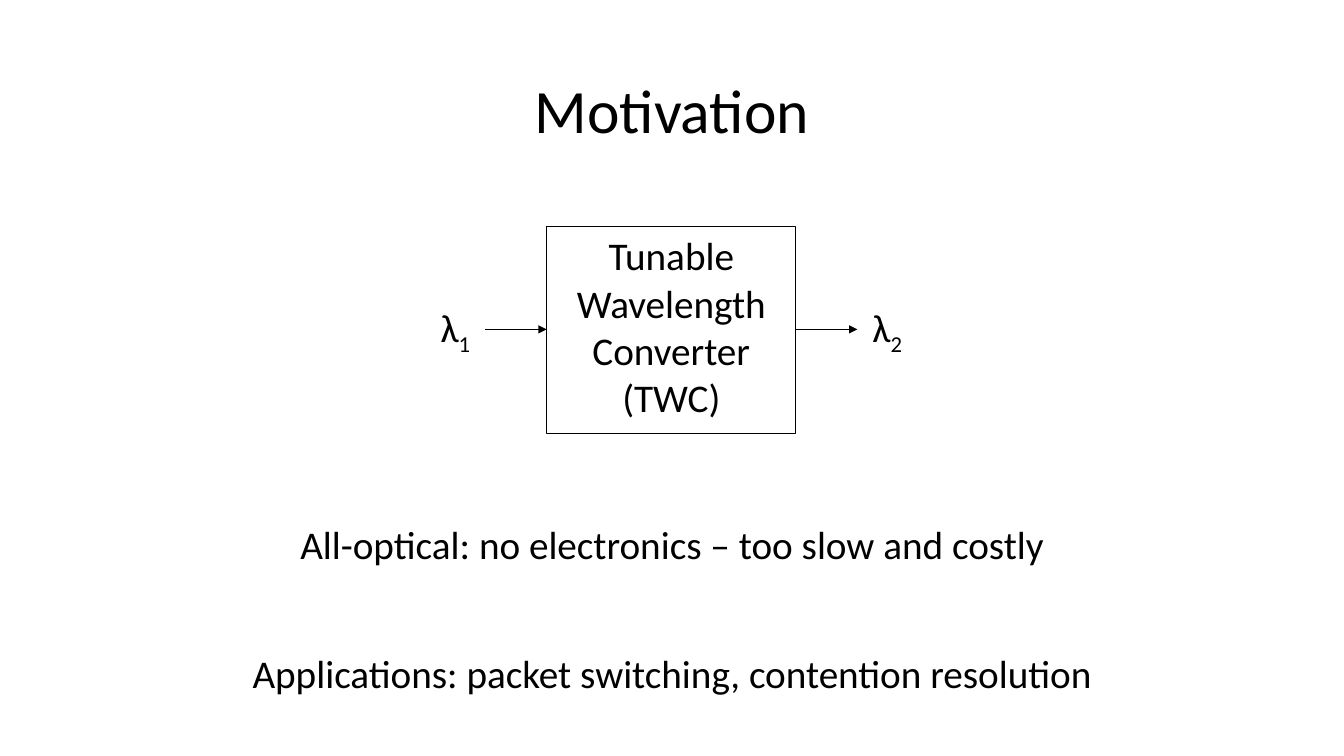
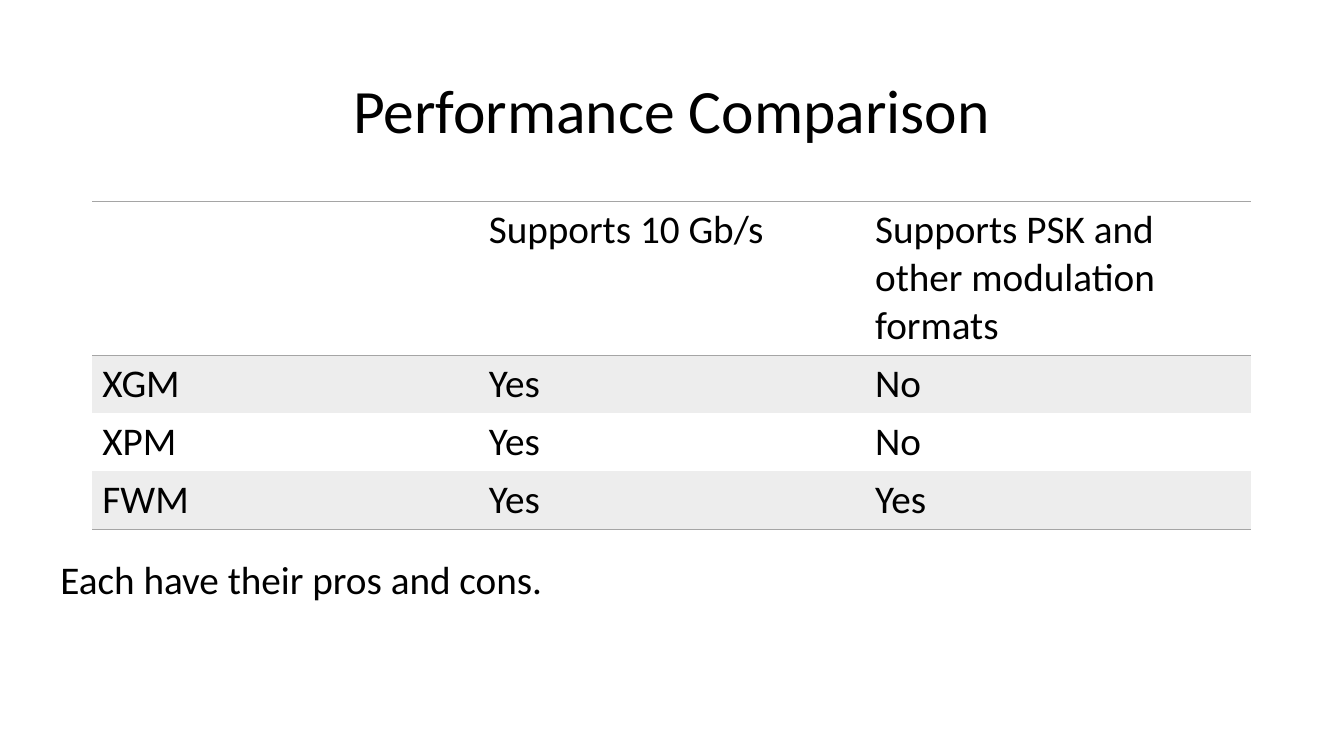
import dataclasses

import pptx
import pptx.dml.color
import pptx.enum.shapes
import pptx.enum.text
import pptx.oxml
import pptx.oxml.ns
import pptx.util
from lxml import etree

Pt = pptx.util.Pt
qn = pptx.oxml.ns.qn
RGB = pptx.dml.color.RGBColor.from_string
ALIGN = pptx.enum.text.PP_ALIGN
ANCHOR = pptx.enum.text.MSO_ANCHOR
NO_TABLE_STYLE = "{2D5ABB26-0587-4C30-8999-92F81FD0307C}"


@dataclasses.dataclass(frozen=True)
class Theme:
    font: str = "Calibri"
    ink: str = "000000"
    rule: str = "A5A5A5"
    band: str = "EDEDED"
    title_size: float = 44
    body_size: float = 28
    subscript: str = "-25000"
    tight: float = 0.9


THEME = Theme()


def set_attrs(obj, values):
    for name, value in values.items():
        setattr(obj, name, value)


def write(tf, text, size=THEME.body_size, align=ALIGN.CENTER, spacing=None, subscript=None):
    p = tf.paragraphs[0]
    set_attrs(p, {"alignment": align, "line_spacing": spacing})
    for part in filter(None, (text, subscript)):
        r = p.add_run()
        r.text = part
        set_attrs(r.font, {"name": THEME.font, "size": Pt(size)})
        r.font.color.rgb = RGB(THEME.ink)
    if subscript:
        r.font._element.set("baseline", THEME.subscript)


def add_titled_slide(prs, title):
    s = prs.slides.add_slide(prs.slide_layouts[5])
    sp = s.shapes.title
    set_attrs(sp, {"left": Pt(66), "top": Pt(28.8), "width": Pt(828), "height": Pt(104.4)})
    tf = sp.text_frame
    set_attrs(tf, {"vertical_anchor": ANCHOR.MIDDLE, "word_wrap": True,
                   "auto_size": pptx.enum.text.MSO_AUTO_SIZE.NONE})
    write(tf, title, size=THEME.title_size, spacing=THEME.tight)
    return s


def add_text(s, box, text, **style):
    sp = s.shapes.add_textbox(*map(Pt, box))
    sp.text_frame.word_wrap = True
    write(sp.text_frame, text, **style)


def add_arrow(s, x, y, length):
    line = s.shapes.add_connector(pptx.enum.shapes.MSO_CONNECTOR.STRAIGHT,
                                  Pt(x), Pt(y), Pt(x + length), Pt(y))
    line.line.width = Pt(1)
    line.line.color.rgb = RGB(THEME.ink)
    etree.SubElement(line.line._get_or_add_ln(), qn("a:tailEnd"), type="triangle")
    etree.SubElement(line.element.spPr, qn("a:effectLst"))


def add_converter(s, box):
    left, top, width, height = box
    arrow, label_w, label_h = 44, 42.5, 52
    sp = s.shapes.add_shape(pptx.enum.shapes.MSO_SHAPE.RECTANGLE, *map(Pt, box))
    sp.shadow.inherit = False
    sp.fill.background()
    sp.line.width = Pt(0.75)
    sp.line.color.rgb = RGB(THEME.ink)
    set_attrs(sp.text_frame, {"word_wrap": True, "vertical_anchor": ANCHOR.TOP})
    write(sp.text_frame, "Tunable Wavelength Converter (TWC)")

    right = left + width
    middle = top + height / 2
    ports = ((left - arrow, left - arrow - label_w, "1"), (right, right + arrow, "2"))
    for arrow_x, label_x, index in ports:
        add_arrow(s, arrow_x, middle - 0.5, arrow)
        add_text(s, (label_x, middle - 22, label_w, label_h), "λ",
                 spacing=THEME.tight, subscript=index)


def add_rule(cell, edge):
    ln = etree.SubElement(cell._tc.get_or_add_tcPr(), qn(f"a:{edge}"), w=str(Pt(1)))
    fill = etree.SubElement(ln, qn("a:solidFill"))
    etree.SubElement(fill, qn("a:srgbClr"), val=THEME.rule)


def add_comparison(s, left, top, width, rows, heights):
    frame = s.shapes.add_table(len(rows), len(rows[0]), Pt(left), Pt(top),
                               Pt(width), Pt(sum(heights)))
    frame.element.find(".//" + qn("a:tableStyleId")).text = NO_TABLE_STYLE
    table = frame.table
    set_attrs(table, {"first_row": False, "horz_banding": False})
    for i, (row, height) in enumerate(zip(rows, heights)):
        table.rows[i].height = Pt(height)
        for j, text in enumerate(row):
            cell = table.cell(i, j)
            if i == 0:
                add_rule(cell, "lnT")
            if i in (0, len(rows) - 1):
                add_rule(cell, "lnB")
            if i % 2:
                cell.fill.solid()
                cell.fill.fore_color.rgb = RGB(THEME.band)
            else:
                cell.fill.background()
            if text:
                write(cell.text_frame, text, align=ALIGN.LEFT)


def build_motivation(prs):
    s = add_titled_slide(prs, "Motivation")
    add_converter(s, (390.5, 162, 178, 147.6))
    statements = ("All-optical: no electronics – too slow and costly",
                  "Applications: packet switching, contention resolution")
    for i, text in enumerate(statements):
        add_text(s, (87.5, 368 + 92 * i, 785, 41), text)


def build_comparison(prs):
    s = add_titled_slide(prs, "Performance Comparison")
    rows = (("", "Supports 10 Gb/s", "Supports PSK and other modulation formats"),
            ("XGM", "Yes", "No"),
            ("XPM", "Yes", "No"),
            ("FWM", "Yes", "Yes"))
    add_comparison(s, 66, 144, 828, rows, (109.7, 41.4, 41.4, 41.4))
    add_text(s, (36, 393, 893.5, 41), "Each have their pros and cons.", align=ALIGN.LEFT)


def main():
    prs = pptx.Presentation()
    set_attrs(prs, {"slide_width": Pt(960), "slide_height": Pt(540)})
    build_motivation(prs)
    build_comparison(prs)
    prs.save("out.pptx")


if __name__ == "__main__":
    main()
